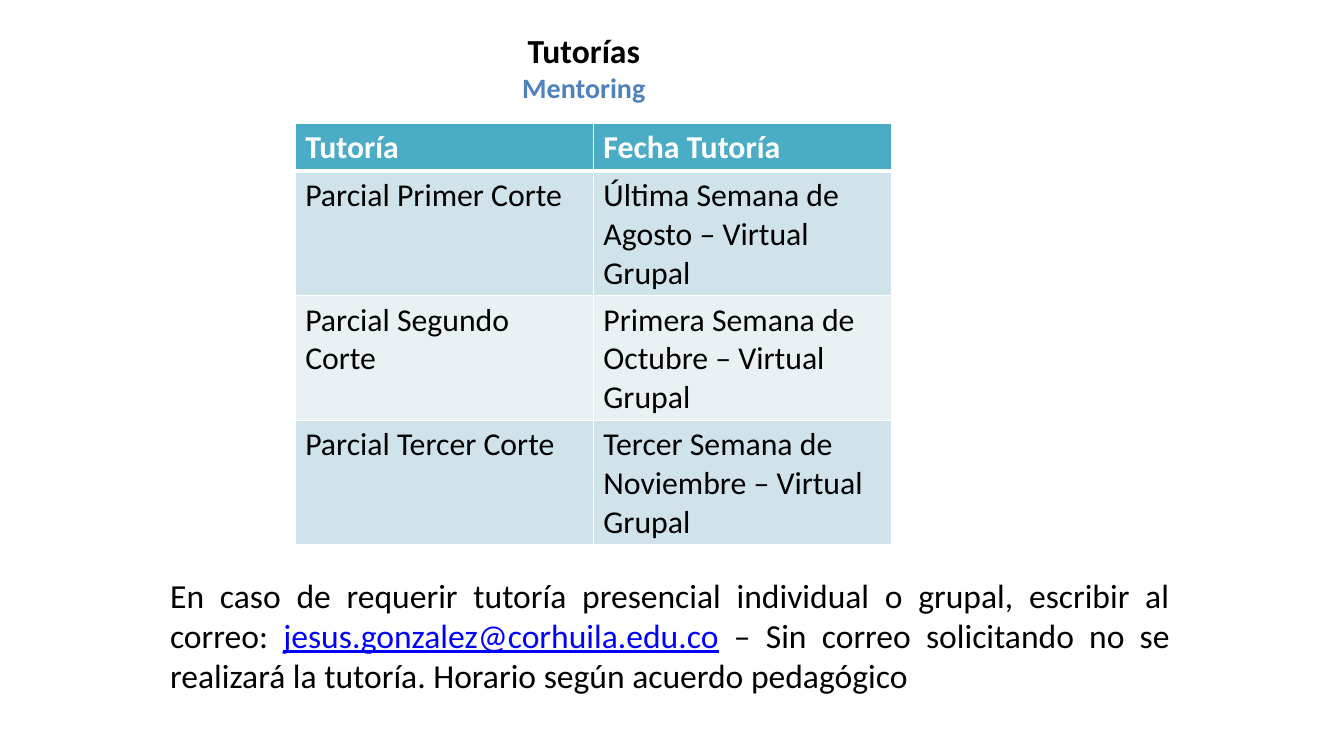
from lxml.etree import SubElement
from pptx import Presentation
from pptx.dml.color import RGBColor
from pptx.enum.text import PP_ALIGN
from pptx.oxml.ns import qn
from pptx.util import Inches, Pt

HEADINGS = [("Tutorías", 24, "000000"), ("Mentoring", 20, "4F81BD")]
SCHEDULE = [
    ("Tutoría", "Fecha Tutoría"),
    ("Parcial Primer Corte", "Última Semana de Agosto – Virtual Grupal"),
    ("Parcial Segundo Corte", "Primera Semana de Octubre – Virtual Grupal"),
    ("Parcial Tercer Corte", "Tercer Semana de Noviembre – Virtual Grupal"),
]
NOTICE = [
    ("En caso de requerir tutoría presencial individual o grupal, escribir al correo: ", "000000", False),
    ("jesus.gonzalez@corhuila.edu.co", "0000FF", True),
    (" – Sin correo solicitando no se realizará la tutoría. Horario según acuerdo pedagógico", "000000", False),
]
HEADER_FILL = "4BACC6"
BAND_FILLS = ["E9F1F5", "D0E3EA"]
HEADER_HEIGHT, ROW_HEIGHT, COLUMN_WIDTH = 0.47, 1.23, 2.96


def color(value):
    return RGBColor.from_string(value)


def add_text(para, text, size=24, fill="000000", bold=False, underline=False):
    span = para.add_run()
    span.text = text
    span.font.name = "Calibri"
    span.font.size = Pt(size)
    span.font.bold = bold
    span.font.underline = underline
    span.font.color.rgb = color(fill)


def add_frame(page, left, top, width, height):
    frame = page.shapes.add_textbox(Inches(left), Inches(top), Inches(width), Inches(height)).text_frame
    frame.word_wrap = True
    return frame


def add_borders(cell, **widths):
    properties = cell._tc.get_or_add_tcPr()
    for side, width in widths.items():
        line = SubElement(properties, qn(f"a:ln{side}"), w=str(Pt(width)))
        SubElement(SubElement(line, qn("a:solidFill")), qn("a:srgbClr"), val="FFFFFF")


deck = Presentation()
deck.slide_width, deck.slide_height = Inches(13.34), Inches(7.5)
page = deck.slides.add_slide(deck.slide_layouts[6])

title = add_frame(page, 3.53, 0.25, 4.53, 0.84)
for index, (text, size, fill) in enumerate(HEADINGS):
    para = title.add_paragraph() if index else title.paragraphs[0]
    para.alignment = PP_ALIGN.CENTER
    add_text(para, text, size=size, fill=fill, bold=True)

heights = [HEADER_HEIGHT] + [ROW_HEIGHT] * (len(SCHEDULE) - 1)
columns = len(SCHEDULE[0])
table = page.shapes.add_table(
    len(SCHEDULE), columns, Inches(2.93), Inches(1.22),
    Inches(COLUMN_WIDTH * columns), Inches(sum(heights)),
).table
for column in table.columns:
    column.width = Inches(COLUMN_WIDTH)
for row, texts in enumerate(SCHEDULE):
    header = row == 0
    table.rows[row].height = Inches(heights[row])
    for column, text in enumerate(texts):
        cell = table.cell(row, column)
        add_borders(cell, L=1, R=1, T=3 if row == 1 else 1, B=3 if header else 1)
        cell.fill.solid()
        cell.fill.fore_color.rgb = color(HEADER_FILL if header else BAND_FILLS[row % 2])
        add_text(cell.text_frame.paragraphs[0], text, size=22.7,
                 fill="FFFFFF" if header else "000000", bold=header)

notice = add_frame(page, 1.59, 5.65, 10.12, 1.31).paragraphs[0]
notice.alignment = PP_ALIGN.JUSTIFY
for text, fill, underline in NOTICE:
    add_text(notice, text, fill=fill, underline=underline)

deck.save("out.pptx")
